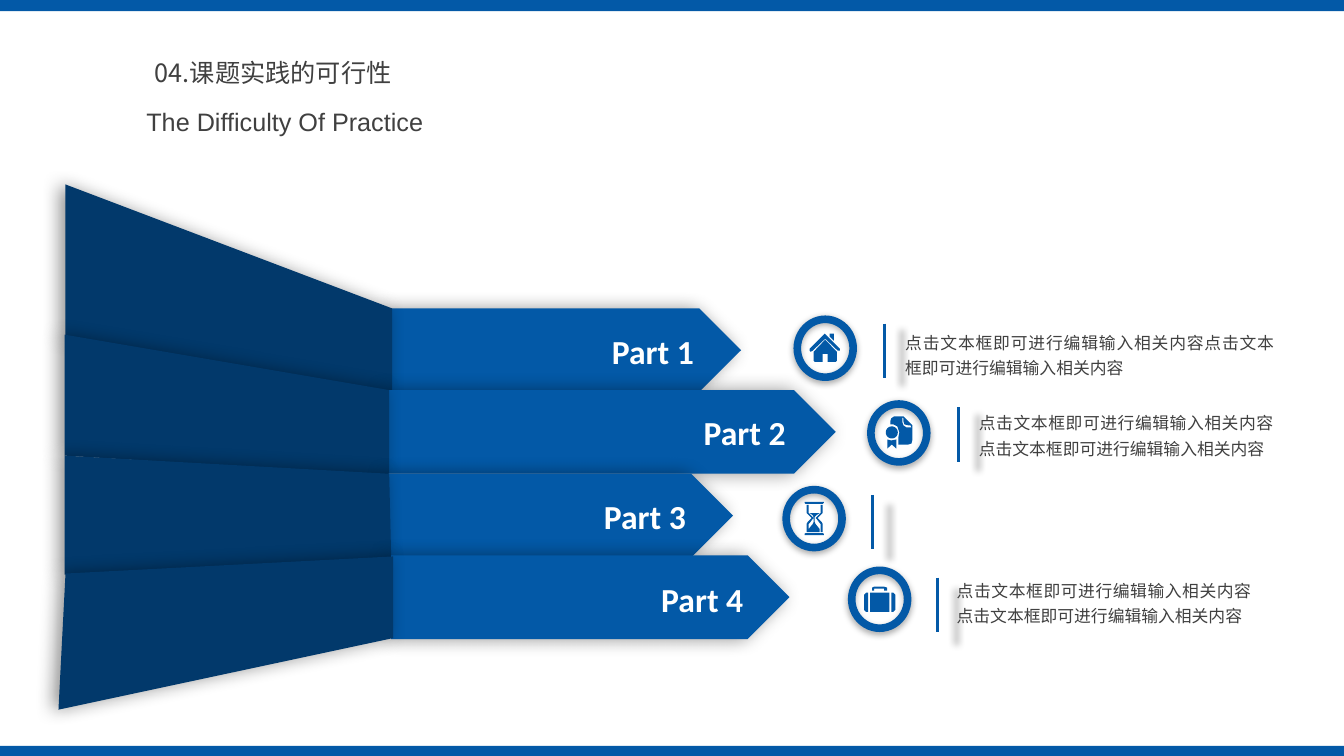
"""Build the slide on the feasibility of practice: four arrows with icons and notes."""
import math
import pptx
import pptx.util
import pptx.dml.color
import pptx.enum.shapes
import pptx.enum.text
import pptx.oxml
import pptx.oxml.ns
from lxml import etree

PX = 9144
WIDE, HIGH = 1333, 750
THEME = {
    "blue": "0359A7", "navy": "02396B", "ink": "404040", "white": "FFFFFF",
    "black": "000000", "cjk": "Noto Sans CJK SC", "latin": "Arial", "bold": "Calibri",
    "title": 18, "label": 24, "body": 12, "rule": 2.25,
}
ICON_GLOW = {"alpha": 35, "blur": 5, "dist": 1.8, "turn": 90, "grow": 100}
RULE_GLOW = {"alpha": 40, "blur": 5, "dist": 0, "turn": 0, "grow": 102}
BAND_GLOW = {"alpha": 42, "blur": 13, "dist": 4, "turn": 180, "grow": 100}

EDGES = [0, 740]
HEADS = [
    ("04.课题实践的可行性", (0, 52, 542, 40), THEME["cjk"]),
    ("The Difficulty Of Practice", (8, 101, 549, 40), THEME["latin"]),
]
NOTE = "点击文本框即可进行编辑输入相关内容" * 2
NOTES = [(888, 320, 386, 57), (961, 400, 312, 57), (939, 566, 312, 57)]

PARTS = [
    ("Part 1", (385, 306, 350), (597, 323), [(389, 306), (389, 391), (65, 335), (65, 183)]),
    ("Part 2", (385, 387, 444), (688, 404), [(64, 332), (64, 452), (386, 472), (386, 387)]),
    ("Part 3", (385, 470, 342), (589, 487), [(64, 452), (64, 570), (388, 554), (386, 470)]),
    ("Part 4", (388, 551, 395), (646, 569), [(65, 569), (390, 552), (390, 633), (58, 704)]),
]


def box(x, y, w, h):
    return [(x, y), (x + w, y), (x + w, y + h), (x, y + h)]


def disc(x, y, r):
    turns = [math.tau * i / 24 for i in range(24)]
    return [(x + r * math.cos(t), y + r * math.sin(t)) for t in turns]


GLASS = [(4, 3), (4, 11), (5, 12), (8, 15), (9, 16), (8, 17), (5, 21), (4, 22), (4, 30),
         (2, 30), (2, 22), (3, 20), (6, 17), (7, 16), (6, 15), (3, 12), (2, 11), (2, 3)]
HOME = [
    [(20, 0), (24, 0), (24, 7), (20, 3)],
    [(0, 15), (14, 1), (15, 0), (16, 1), (30, 15), (30, 17), (28, 17), (15.5, 5), (3, 17),
     (1, 18), (0, 17)],
    [(4, 18), (15.5, 6), (27, 18), (27, 27), (26, 28), (18, 28), (18, 20), (13, 20),
     (13, 28), (5, 28), (4, 27)],
]
BADGE = [
    [(8, 0), (17, 0), (26, 9), (26, 23), (25, 27), (22, 28), (12, 28), (12, 21), (13, 16),
     (11, 10), (7, 8), (4, 8), (4, 5), (5, 2)],
    [(16, 1), (17, 2), (17, 5), (18, 8), (22, 9), (24, 9), (25, 11), (20, 11), (17, 9),
     (16, 6)],
    [(1, 23), (5, 24), (10, 23), (10, 32), (5.5, 28), (1, 32)],
    disc(5.5, 16, 6),
]
TIMER = [
    [(0, 0), (19, 0), (19, 1), (18, 2), (1, 2), (0, 1)],
    [(0, 33), (19, 33), (19, 31.5), (18, 31), (1, 31), (0, 31.5)],
    GLASS,
    [(20 - x, y) for x, y in GLASS],
    [(4, 30), (15, 30), (15, 27), (11, 22), (10, 20), (10, 15), (12, 13), (15, 11),
     (5, 11), (8, 13), (9, 15), (9, 20), (8, 22), (4, 27)],
]
CASE = [
    [(8, 4), (8, 1), (10, 0), (20, 0), (23, 1), (23, 4), (20, 4), (20, 2), (10, 2), (10, 4)],
    [(0, 8), (2, 6), (4, 6), (4, 25), (2, 25), (0, 23)],
    box(6, 6, 19, 19),
    [(27, 6), (29, 6), (31, 8), (31, 23), (29, 25), (27, 25)],
]
ICONS = [
    ((776, 482), (798, 498), TIMER, (865, 491)),
    ((787, 313), (803, 331), HOME, (877, 321)),
    ((841, 562), (857, 582), CASE, (930, 573)),
    ((860, 397), (879, 413), BADGE, (951, 404)),
]

deck = pptx.Presentation()
deck.slide_width, deck.slide_height = WIDE * PX, HIGH * PX
slide = deck.slides.add_slide(deck.slide_layouts[6])
KIND = pptx.enum.shapes.MSO_SHAPE
ALIGN = pptx.enum.text.PP_ALIGN


def tint(name):
    return pptx.dml.color.RGBColor.from_string(THEME[name])


def add_node(node, tag, **attrs):
    child = etree.SubElement(node, pptx.oxml.ns.qn(tag))
    for key, value in attrs.items():
        child.set(key, str(value))
    return child


def add_glow(effects, glow):
    cast = add_node(effects, "a:outerShdw", blurRad=int(glow["blur"] * 12700),
                    dist=int(glow["dist"] * 12700), dir=glow["turn"] * 60000,
                    sx=glow["grow"] * 1000, sy=glow["grow"] * 1000,
                    algn="ctr" if glow["grow"] == 100 else "tl", rotWithShape=0)
    color = add_node(cast, "a:srgbClr", val=THEME["black"])
    add_node(color, "a:alpha", val=glow["alpha"] * 1000)


def paint(shape, color, glow=None):
    shape.fill.solid()
    shape.fill.fore_color.rgb = tint(color)
    shape.line.fill.background()
    shape.shadow.inherit = False
    if glow:
        add_glow(shape._element.spPr.find(pptx.oxml.ns.qn("a:effectLst")), glow)
    return shape


def add_form(kind, area, color, glow=None):
    shape = slide.shapes.add_shape(kind, *[v * PX for v in area])
    return paint(shape, color, glow)


def add_path(loops, left, top, color, glow=None):
    loops = [[((left + x) * PX, (top + y) * PX) for x, y in loop] for loop in loops]
    pen = slide.shapes.build_freeform(*loops[0][0], scale=1.0)
    for i, loop in enumerate(loops):
        if i:
            pen.move_to(*loop[0])
        pen.add_line_segments(loop[1:], close=True)
    return paint(pen.convert_to_shape(), color, glow)


def add_text(words, area, size, font, color, align=ALIGN.LEFT, bold=False, pitch=None):
    frame = slide.shapes.add_textbox(*[v * PX for v in area]).text_frame
    frame.word_wrap = True
    frame.auto_size = pptx.enum.text.MSO_AUTO_SIZE.SHAPE_TO_FIT_TEXT
    para = frame.paragraphs[0]
    para.alignment = align
    if pitch:
        para.line_spacing = pitch
    run = para.add_run()
    run.text = words
    run.font.size = pptx.util.Pt(THEME[size])
    run.font.bold = bold
    run.font.color.rgb = tint(color)
    run.font.name = font
    add_node(run._r.get_or_add_rPr(), "a:ea", typeface=font)


def add_rule(x, y, size):
    rule = slide.shapes.add_connector(pptx.enum.shapes.MSO_CONNECTOR.STRAIGHT,
                                      x * PX, y * PX, x * PX, (y + size) * PX)
    rule.line.color.rgb = tint("blue")
    rule.line.width = pptx.util.Pt(THEME["rule"])
    add_glow(add_node(rule._element.spPr, "a:effectLst"), RULE_GLOW)


for top in EDGES:
    add_form(KIND.RECTANGLE, (0, top, WIDE, 11), "blue")
for words, area, font in HEADS:
    add_text(words, area, "title", font, "ink", ALIGN.CENTER)
for ring, spot, loops, rule in ICONS:
    add_form(KIND.DONUT, (*ring, 63, 65), "blue", ICON_GLOW).adjustments[0] = 0.12
    add_path(loops, *spot, "blue")
    add_rule(*rule, 54)
for words, (left, top, width), spot, panel in PARTS:
    add_form(KIND.PENTAGON, (left, top, width, 83), "blue", BAND_GLOW)
    add_path([panel], 0, 0, "navy", BAND_GLOW)
    add_text(words, (*spot, 115, 47), "label", THEME["bold"], "white", bold=True)
for area in NOTES:
    add_text(NOTE, area, "body", THEME["cjk"], "ink", ALIGN.JUSTIFY, pitch=1.25)

deck.save("out.pptx")
